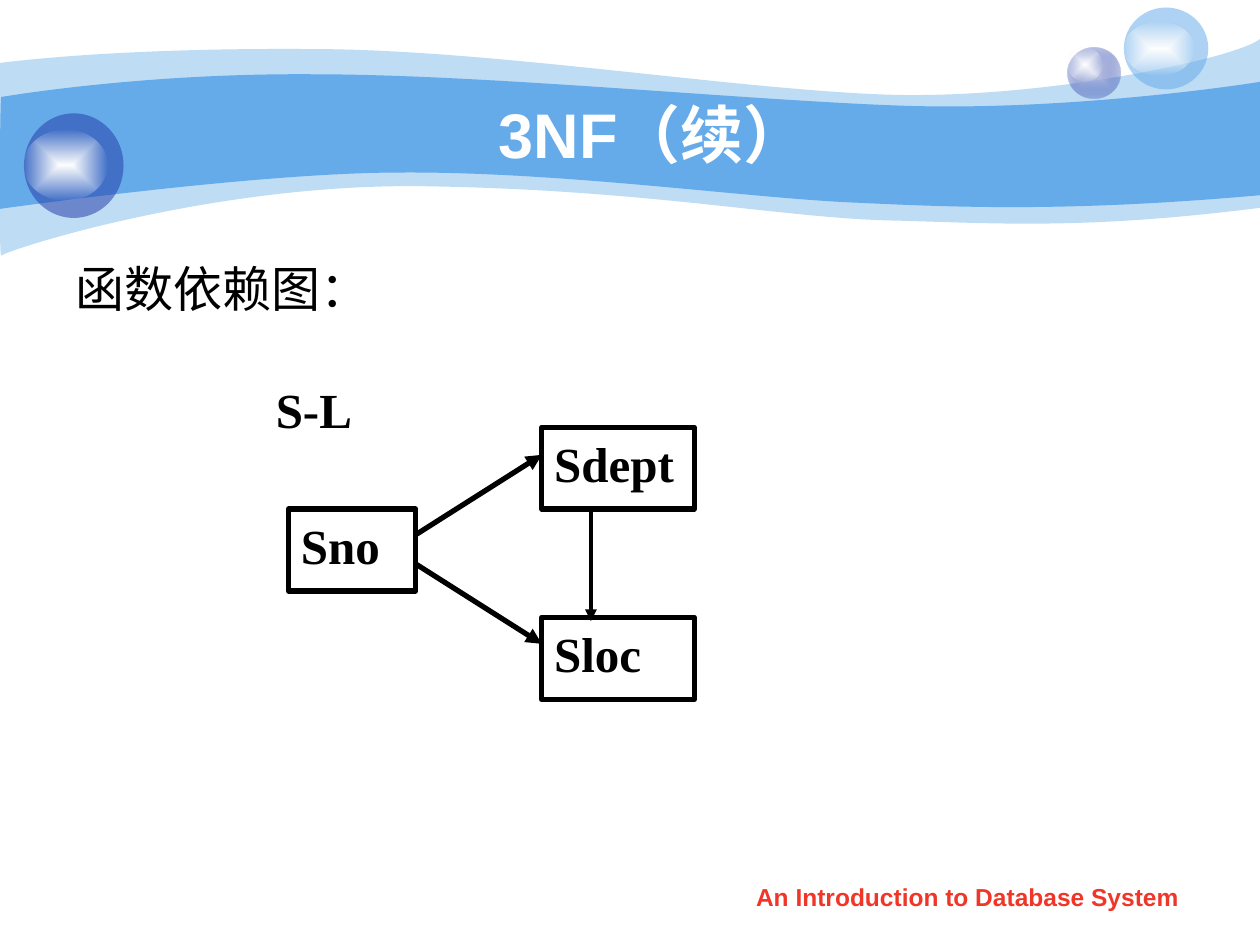
from lxml import etree
from pptx import Presentation
from pptx.dml.color import RGBColor
from pptx.enum.shapes import MSO_CONNECTOR, MSO_SHAPE
from pptx.enum.text import MSO_ANCHOR, MSO_AUTO_SIZE, PP_ALIGN
from pptx.oxml.ns import qn
from pptx.util import Inches, Pt

STRAIGHT = MSO_CONNECTOR.STRAIGHT
RECTANGLE, OVAL = MSO_SHAPE.RECTANGLE, MSO_SHAPE.OVAL
TOP, MIDDLE = MSO_ANCHOR.TOP, MSO_ANCHOR.MIDDLE
LEFT, CENTER, JUSTIFY = PP_ALIGN.LEFT, PP_ALIGN.CENTER, PP_ALIGN.JUSTIFY
NO_FIT = MSO_AUTO_SIZE.NONE

WIDTH, HEIGHT = 10, 7.5
SKY, NAVY, PALE, WHITE, BLACK, RED = "65AAE9", "233DA9", "C7CEE9", "FFFFFF", "000000", "F03628"

TITLE = "3NF（续）"
BODY = "函数依赖图："
FOOTER = "An Introduction to Database System"

WAVES = [
    (41, (0, 0.5), [
        (0.24, 0.47), (1.07, 0.38), (2.47, 0.39),
        (3.86, 0.39), (5.75, 0.7), (6.99, 0.75),
        (8.22, 0.8), (9.8, 0.47), (10, 0.31),
        (10, 0.76), (10, 1.2), (10, 1.65),
        (8.58, 1.83), (7.87, 1.77), (7.05, 1.75),
        (6.22, 1.73), (5.15, 1.51), (3.43, 1.48),
        (1.72, 1.44), (0.04, 1.99), (0.01, 2.03),
        (-0.01, 2.08), (0, 0.75), (0, 0.5)]),
    (100, (0.01, 0.77), [
        (0.02, 0.77), (1.1, 0.58), (2.48, 0.59),
        (3.86, 0.59), (5.95, 0.8), (7.18, 0.84),
        (8.41, 0.88), (9.76, 0.69), (10, 0.65),
        (10, 0.95), (10, 1.25), (10, 1.55),
        (8.53, 1.68), (7.65, 1.65), (6.82, 1.61),
        (5.99, 1.58), (4.47, 1.36), (3.17, 1.37),
        (2.03, 1.37), (-0.02, 1.66), (-0.01, 1.66),
        (0, 1.66), (0, 0.77), (0.01, 0.77)]),
]
GLOW = [(0, WHITE, 100), (100, WHITE, 0)]
BUBBLES = [
    ((8.47, 0.38, 0.42, 0.4), [(0, PALE, 100), (100, NAVY, 31)], (8.47, 0.38, 0.28, 0.27)),
    ((8.92, 0.06, 0.67, 0.65), [(0, SKY, 53)], (8.92, 0.17, 0.56, 0.43)),
    ((0.19, 0.9, 0.79, 0.83), [(0, NAVY, 53)], (0.19, 1.03, 0.66, 0.56)),
]

BOX_HEIGHT = 0.65
SOURCE_LEFT, TARGET_LEFT, TARGET_WIDTH = 2.29, 4.3, 1.21
SOURCE_RIGHT = 3.29
NODES = [
    ("S-L", 2.09, 2.96, TARGET_WIDTH, 0),
    ("Sno", SOURCE_LEFT, 4.04, 1.01, 3),
    ("Sdept", TARGET_LEFT, 3.39, TARGET_WIDTH, 3),
    ("Sloc", TARGET_LEFT, 4.9, TARGET_WIDTH, 3),
]
DEPENDENCIES = [
    ((SOURCE_RIGHT, 4.25), (TARGET_LEFT, 3.61), 3),
    ((SOURCE_RIGHT, 4.47), (TARGET_LEFT, 5.11), 3),
    ((4.69, 4.06), (4.69, 4.93), 2.25),
]


def rgb(color):
    return RGBColor.from_string(color)


def apply(target, values):
    for key, value in values.items():
        setattr(target, key, value)


def add_alpha(color_element, percent):
    etree.SubElement(color_element, qn("a:alpha"), val=str(percent * 1000))


def paint(shape, stops):
    shape.shadow.inherit = False
    shape.line.fill.background()
    shape.fill.solid()
    shape.fill.fore_color.rgb = rgb(stops[0][1])
    solid = shape.element.spPr.find(qn("a:solidFill"))
    if len(stops) == 1:
        add_alpha(solid[0], stops[0][2])
        return
    gradient = etree.Element(qn("a:gradFill"), rotWithShape="1")
    stop_list = etree.SubElement(gradient, qn("a:gsLst"))
    for position, color, alpha in stops:
        stop = etree.SubElement(stop_list, qn("a:gs"), pos=str(position * 1000))
        add_alpha(etree.SubElement(stop, qn("a:srgbClr"), val=color), alpha)
    center = etree.SubElement(gradient, qn("a:path"), attrib={"path": "rect"})
    etree.SubElement(center, qn("a:fillToRect"), dict.fromkeys("ltrb", "50000"))
    solid.getparent().replace(solid, gradient)


def add_wave(shapes, alpha, start, points):
    builder = shapes.build_freeform(*map(Inches, start))
    builder.add_line_segments([tuple(map(Inches, point)) for point in points], close=True)
    wave = builder.convert_to_shape()
    outline = wave.element.find(".//" + qn("a:path"))
    segments = outline.findall(qn("a:lnTo"))
    for first in range(0, len(segments), 3):
        curve = etree.Element(qn("a:cubicBezTo"))
        segments[first].addprevious(curve)
        for segment in segments[first:first + 3]:
            curve.append(segment[0])
            outline.remove(segment)
    paint(wave, [(0, SKY, alpha)])


def add_oval(shapes, area, stops):
    paint(shapes.add_shape(OVAL, *map(Inches, area)), stops)


def place(shape, area):
    apply(shape, dict(zip(("left", "top", "width", "height"), map(Inches, area))))


def write(shape, text, size, font, color, bold, align, anchor=TOP, spacing=None):
    frame = shape.text_frame
    frame.text = text
    apply(frame, {"word_wrap": True, "auto_size": NO_FIT, "vertical_anchor": anchor,
                  "margin_left": Inches(0.1), "margin_right": Inches(0.1),
                  "margin_top": Inches(0.05), "margin_bottom": Inches(0.05)})
    paragraph = frame.paragraphs[0]
    apply(paragraph, {"alignment": align, **(spacing or {})})
    run_font = paragraph.runs[0].font
    apply(run_font, {"size": Pt(size), "name": font, "bold": bold})
    run_font.color.rgb = rgb(color)


def add_node(shapes, label, left, top, width, border):
    node = shapes.add_shape(RECTANGLE, *map(Inches, (left, top, width, BOX_HEIGHT)))
    node.shadow.inherit = False
    node.fill.background()
    if border:
        node.line.color.rgb = rgb(BLACK)
        node.line.width = Pt(border)
    else:
        node.line.fill.background()
    write(node, label, 28, "Times New Roman", BLACK, True, JUSTIFY)


def add_arrow(shapes, start, end, width):
    arrow = shapes.add_connector(STRAIGHT, *map(Inches, start + end))
    arrow.line.color.rgb = rgb(BLACK)
    arrow.line.width = Pt(width)
    properties = arrow.element.spPr
    etree.SubElement(properties.find(qn("a:ln")), qn("a:tailEnd"), type="triangle")
    etree.SubElement(properties, qn("a:effectLst"))


def main():
    deck = Presentation()
    deck.slide_width, deck.slide_height = Inches(WIDTH), Inches(HEIGHT)
    slide = deck.slides.add_slide(deck.slide_layouts[1])
    shapes = slide.shapes
    title, body = slide.placeholders
    for wave in WAVES:
        add_wave(shapes, *wave)
    for area, stops, glow_area in BUBBLES:
        add_oval(shapes, area, stops)
        add_oval(shapes, glow_area, GLOW)

    footer = shapes.add_textbox(*map(Inches, (5.71, 6.98, 3.94, 0.35)))
    write(footer, FOOTER, 14, "Arial", RED, True, CENTER,
          spacing={"line_spacing": 0.9, "space_before": Pt(3.5)})

    for placeholder in (title, body):
        shapes.element.append(placeholder.element)
    place(title, (1, 0.75, 8.08, 0.62))
    write(title, TITLE, 36, "Arial", WHITE, True, CENTER, MIDDLE)
    title.text_frame.margin_left = Inches(0.38)
    place(body, (0.5, 2, 9, 4.92))
    write(body, BODY, 28, "Arial", BLACK, False, LEFT, spacing={"space_before": Pt(7)})
    layout = body.text_frame.paragraphs[0]._p.get_or_add_pPr()
    apply_indent = {"marL": Inches(0.38), "indent": Inches(-0.38)}
    for key, value in apply_indent.items():
        layout.set(key, str(int(value)))
    etree.SubElement(layout, qn("a:buNone"))

    for node in NODES:
        add_node(shapes, *node)
    for dependency in DEPENDENCIES:
        add_arrow(shapes, *dependency)
    deck.save("out.pptx")


if __name__ == "__main__":
    main()
